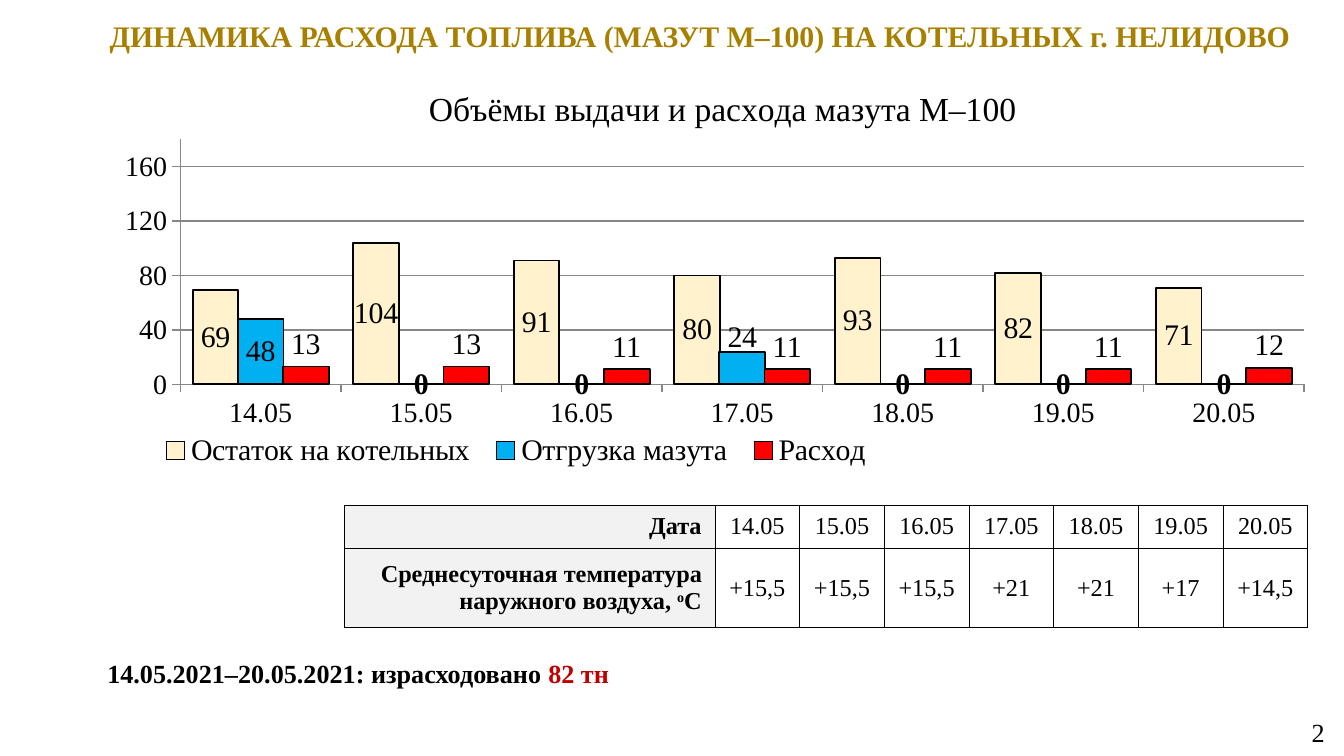
import lxml.etree
import pptx
import pptx.chart.data
import pptx.dml.color
import pptx.enum.chart
import pptx.enum.text
import pptx.oxml.ns
import pptx.util

Inches = pptx.util.Inches
Pt = pptx.util.Pt
qn = pptx.oxml.ns.qn
ALIGN = pptx.enum.text.PP_ALIGN
ANCHOR = pptx.enum.text.MSO_ANCHOR
LABEL = pptx.enum.chart.XL_LABEL_POSITION

COLORS = {"gold": "A88000", "black": "000000", "accent": "C00000", "white": "FFFFFF",
          "header": "F2F2F2", "grid": "878787", "stock": "FFF2CC",
          "shipped": "00B0F0", "spent": "FF0000"}
SERIF = "Times New Roman"
DATES = ["14.05", "15.05", "16.05", "17.05", "18.05", "19.05", "20.05"]
TEMPERATURES = ["+15,5", "+15,5", "+15,5", "+21", "+21", "+17", "+14,5"]
SERIES = [
    ("Остаток на котельных", [69, 104, 91, 80, 93, 82, 71], "stock", LABEL.CENTER),
    ("Отгрузка мазута", [48, 0, 0, 24, 0, 0, 0], "shipped", LABEL.CENTER),
    ("Расход", [13, 13, 11, 11, 11, 11, 12], "spent", LABEL.OUTSIDE_END),
]


def color(name):
    """Return the named colour."""
    return pptx.dml.color.RGBColor.from_string(COLORS[name])


def set_format(target, values):
    """Set each attribute of the target from a dict."""
    for name, value in values.items():
        setattr(target, name, value)


def format_font(font, size, color_name="black", **values):
    """Give a font the slide's typeface, a size and a colour."""
    set_format(font, {"name": SERIF, "size": Pt(size), **values})
    font.color.rgb = color(color_name)


def format_line(line, color_name, width):
    """Give a line a colour and a width."""
    line.color.rgb = color(color_name)
    line.width = Pt(width)


def add_run(paragraph, text, size, color_name="black", **values):
    """Add a formatted run to a paragraph."""
    run = paragraph.add_run()
    run.text = text
    format_font(run.font, size, color_name, **values)
    return run


def place(shape, box):
    """Move a shape to a box given in inches."""
    set_format(shape, dict(zip(("left", "top", "width", "height"), map(Inches, box))))


def add_title(slide, box):
    """Fill the title placeholder."""
    title = slide.shapes.title
    place(title, box)
    set_format(title.text_frame, {
        "word_wrap": True, "vertical_anchor": ANCHOR.TOP,
        "auto_size": pptx.enum.text.MSO_AUTO_SIZE.NONE})
    paragraph = title.text_frame.paragraphs[0]
    paragraph.alignment = ALIGN.CENTER
    add_run(paragraph, "ДИНАМИКА РАСХОДА ТОПЛИВА (МАЗУТ М–100) НА КОТЕЛЬНЫХ г. НЕЛИДОВО",
            16, "gold", bold=True)


def add_text(slide, box, runs, alignment=ALIGN.LEFT, bold=False):
    """Add a line of text made of (text, colour) runs."""
    frame = slide.shapes.add_textbox(*map(Inches, box)).text_frame
    set_format(frame, {"word_wrap": True, "vertical_anchor": ANCHOR.MIDDLE})
    paragraph = frame.paragraphs[0]
    paragraph.alignment = alignment
    for text, color_name in runs:
        add_run(paragraph, text, 14, color_name, bold=bold)


def set_layout(parent, position, **values):
    """Give a chart part a manual layout at the child position."""
    for old in parent.findall(qn("c:layout")):
        parent.remove(old)
    layout = lxml.etree.Element(qn("c:layout"))
    manual = lxml.etree.SubElement(layout, qn("c:manualLayout"))
    for name, value in values.items():
        lxml.etree.SubElement(manual, qn(f"c:{name}")).set("val", str(value))
    parent.insert(position, layout)


def format_axes(chart):
    """Format both axes and the gridlines."""
    value_axis = chart.value_axis
    set_format(value_axis, {"minimum_scale": 0, "maximum_scale": 180,
                            "major_unit": 40, "has_major_gridlines": True})
    set_format(value_axis.tick_labels, {"number_format": "0", "number_format_is_linked": False})
    for axis in (chart.category_axis, value_axis):
        axis.major_tick_mark = pptx.enum.chart.XL_TICK_MARK.OUTSIDE
        format_font(axis.tick_labels.font, 15)
    for part in (chart.category_axis, value_axis, value_axis.major_gridlines):
        format_line(part.format.line, "grid", 0.75)


def format_series(series, values, color_name, position):
    """Format the bars and value labels of a series."""
    series.format.fill.solid()
    series.format.fill.fore_color.rgb = color(color_name)
    format_line(series.format.line, "black", 1)
    labels = series.data_labels
    set_format(labels, {"show_value": True, "position": position,
                        "number_format": "0", "number_format_is_linked": False})
    format_font(labels.font, 16)
    for index, value in enumerate(values):
        if color_name == "shipped" and value < 40:
            label = series.points[index].data_label
            format_font(label.font, 16, bold=value == 0)
            label.position = LABEL.OUTSIDE_END if value else LABEL.CENTER
            if value:
                set_layout(labels._element.find(qn("c:dLbl") + f"[{index}]"), 1, x=0, y=0.02)


def add_fuel_chart(slide, box):
    """Add the clustered columns of fuel stock, shipment and use."""
    data = pptx.chart.data.CategoryChartData()
    data.categories = DATES
    for name, values, *_ in SERIES:
        data.add_series(name, values)
    chart = slide.shapes.add_chart(
        pptx.enum.chart.XL_CHART_TYPE.COLUMN_CLUSTERED, *map(Inches, box), data).chart
    set_format(chart.font, {"name": "Calibri", "size": Pt(16)})
    chart.font.color.rgb = color("black")
    set_format(chart, {"has_title": True, "has_legend": True})
    add_run(chart.chart_title.text_frame.paragraphs[0],
            "Объёмы выдачи и расхода мазута М–100", 18, bold=False)
    set_format(chart.legend, {"position": pptx.enum.chart.XL_LEGEND_POSITION.BOTTOM,
                              "include_in_layout": False})
    format_font(chart.legend.font, 16)
    plot = chart.plots[0]
    set_format(plot, {"gap_width": 54, "overlap": 1, "vary_by_categories": False})
    for series, (_, values, color_name, position) in zip(plot.series, SERIES):
        format_series(series, values, color_name, position)
    format_axes(chart)
    root = chart._chartSpace.find(qn("c:chart"))
    title = root.find(qn("c:title"))
    title.find(qn("c:overlay")).set("val", "1")
    set_layout(title, 1, xMode="edge", yMode="edge", x=0.285, y=0)
    set_layout(root.find(qn("c:legend")), 1, xMode="edge", yMode="edge",
               x=0.065, y=0.88, w=0.59, h=0.1)
    set_layout(root.find(qn("c:plotArea")), 0, layoutTarget="inner", xMode="edge",
               yMode="edge", x=0.09, y=0.145, w=0.904, h=0.618)


def format_cell(cell, fill_name):
    """Border, fill and anchor a table cell."""
    properties = cell._tc.get_or_add_tcPr()
    for side in "LRTB":
        line = lxml.etree.SubElement(properties, qn(f"a:ln{side}"), w=str(Pt(0.5)))
        fill = lxml.etree.SubElement(line, qn("a:solidFill"))
        lxml.etree.SubElement(fill, qn("a:srgbClr"), val=COLORS["black"])
    cell.fill.solid()
    cell.fill.fore_color.rgb = color(fill_name)
    cell.vertical_anchor = ANCHOR.MIDDLE


def add_temperature_table(slide, box):
    """Add the table of daily air temperatures."""
    headings = [["Дата"], ["Среднесуточная температура", "наружного воздуха, "]]
    table = slide.shapes.add_table(2, len(DATES) + 1, *map(Inches, box)).table
    set_format(table, {"first_row": False, "horz_banding": False})
    for index, column in enumerate(table.columns):
        column.width = Inches(0.63 if index else box[2] - 0.63 * len(DATES))
    for row, height in zip(table.rows, (0.32, box[3] - 0.32)):
        row.height = Inches(height)
    for row, heading, values in zip(table.rows, headings, (DATES, TEMPERATURES)):
        for index, (cell, lines) in enumerate(zip(row.cells, [heading, *([v] for v in values)])):
            format_cell(cell, "white" if index else "header")
            if index:
                set_format(cell, {"margin_left": Inches(0.05), "margin_right": Inches(0.05)})
            cell.text = "\n".join(lines)
            for paragraph in cell.text_frame.paragraphs:
                paragraph.alignment = ALIGN.CENTER if index else ALIGN.RIGHT
                format_font(paragraph.runs[0].font, 13, bold=not index)
    unit = table.cell(1, 0).text_frame.paragraphs[1]
    degree = add_run(unit, "о", 13, bold=True)
    degree.font._element.set("baseline", "30000")
    add_run(unit, "С", 13, bold=True)


def main():
    """Build and save the slide."""
    presentation = pptx.Presentation()
    width = Inches(10)
    set_format(presentation, {"slide_width": width, "slide_height": width * 9 // 16})
    slide = presentation.slides.add_slide(presentation.slide_layouts[5])
    add_title(slide, (0.7, 0.08, 9.02, 0.37))
    add_text(slide, (0.7, 4.84, 3.94, 0.34),
             [("14.05.2021–20.05.2021: израсходовано ", "black"), ("82 тн", "accent")], bold=True)
    add_fuel_chart(slide, (0.51, 0.61, 9.25, 2.95))
    add_temperature_table(slide, (2.56, 3.76, 7.17, 0.91))
    add_text(slide, (9.66, 5.3, 0.28, 0.3), [("2", "black")], ALIGN.RIGHT)
    presentation.save("out.pptx")


if __name__ == "__main__":
    main()
